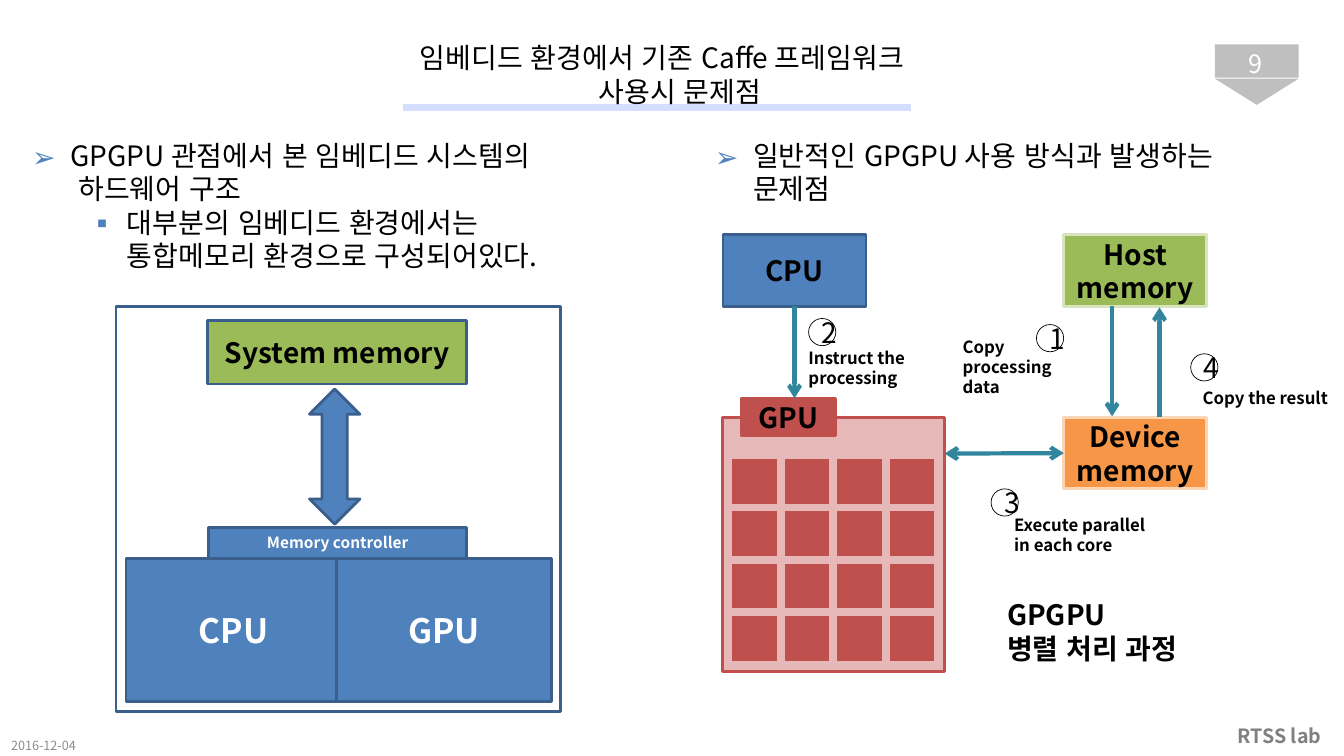
from itertools import product

from lxml import etree
from pptx import Presentation
from pptx.dml.color import RGBColor
from pptx.enum.lang import MSO_LANGUAGE_ID
from pptx.enum.shapes import MSO_CONNECTOR, MSO_SHAPE
from pptx.enum.text import MSO_ANCHOR, PP_ALIGN
from pptx.oxml.ns import qn
from pptx.util import Inches, Pt

FONT = "Noto Sans CJK KR"
BLACK = RGBColor(0x00, 0x00, 0x00)
WHITE = RGBColor(0xFF, 0xFF, 0xFF)
GRAY = RGBColor(0x80, 0x80, 0x80)
DATE_GRAY = RGBColor(0x8C, 0x8C, 0x8C)
BADGE_GRAY = RGBColor(0xBF, 0xBF, 0xBF)
RULE_BLUE = RGBColor(0xD4, 0xDE, 0xFF)
BLUE = RGBColor(0x4F, 0x81, 0xBD)
DARK_BLUE = RGBColor(0x3A, 0x5F, 0x8C)
GREEN = RGBColor(0x9B, 0xBB, 0x59)
PALE_GREEN = RGBColor(0xD7, 0xE4, 0xBD)
RED = RGBColor(0xC0, 0x50, 0x4D)
PALE_RED = RGBColor(0xE6, 0xB9, 0xB8)
ORANGE = RGBColor(0xF7, 0x96, 0x46)
PALE_ORANGE = RGBColor(0xFC, 0xD5, 0xB5)
TEAL = RGBColor(0x31, 0x85, 0x9C)


def write(paragraph, text, size=20, color=BLACK, bold=False, align=None,
          indent=0, hang=0, bullet=None):
    """Fill one paragraph; a vertical tab in the text is a line break."""
    paragraph.text = text
    paragraph.alignment = align
    for run in paragraph.runs:
        run.font.size = Pt(size)
        run.font.bold = bold
        run.font.color.rgb = color
        run.font.name = FONT
        run.font.language_id = MSO_LANGUAGE_ID.KOREAN
        latin = run.font._element.find(qn("a:latin"))
        east_asian = etree.Element(qn("a:ea"), typeface=FONT)
        latin.addnext(east_asian)
    properties = paragraph._p.get_or_add_pPr()
    if hang:
        properties.set("marL", str(Inches(indent)))
        properties.set("indent", str(-Inches(hang)))
    if bullet:
        bullet_color = etree.SubElement(properties, qn("a:buClr"))
        etree.SubElement(bullet_color, qn("a:srgbClr"), val=str(BLUE))
        etree.SubElement(properties, qn("a:buFont"), typeface=FONT)
        etree.SubElement(properties, qn("a:buChar"), char=bullet)


def add_label(slide, box, *lines, anchor=MSO_ANCHOR.TOP, inset=(0.1, 0.05), **style):
    """Add a text box with one paragraph per line."""
    frame = slide.shapes.add_textbox(*map(Inches, box)).text_frame
    frame.word_wrap = True
    frame.vertical_anchor = anchor
    frame.margin_left = frame.margin_right = Inches(inset[0])
    frame.margin_top = frame.margin_bottom = Inches(inset[1])
    for number, line in enumerate(lines):
        paragraph = frame.add_paragraph() if number else frame.paragraphs[0]
        write(paragraph, line, **style)
    return frame


def add_block(slide, box, *lines, kind=MSO_SHAPE.RECTANGLE, fill=None,
              line=None, width=2, **style):
    """Add a preset shape with centred text."""
    block = slide.shapes.add_shape(kind, *map(Inches, box))
    block.shadow.inherit = False
    if fill is None:
        block.fill.background()
    else:
        block.fill.solid()
        block.fill.fore_color.rgb = fill
    if line is None:
        block.line.fill.background()
    else:
        block.line.color.rgb = line
        block.line.width = Pt(width)
    frame = block.text_frame
    for number, text in enumerate(lines):
        paragraph = frame.add_paragraph() if number else frame.paragraphs[0]
        write(paragraph, text, align=PP_ALIGN.CENTER, **style)
    return block


def add_line(slide, start, end, color=TEAL, width=3, heads=()):
    """Add a straight line; heads names the ends that carry an arrowhead."""
    line = slide.shapes.add_connector(
        MSO_CONNECTOR.STRAIGHT, *map(Inches, start + end))
    line.line.color.rgb = color
    line.line.width = Pt(width)
    outline = line.line._get_or_add_ln()
    for head in heads:
        etree.SubElement(outline, qn(f"a:{head}"), type="arrow")
    etree.SubElement(line._element.spPr, qn("a:effectLst"))
    return line


def add_frame(slide):
    """Title, page badge and footer."""
    margins = {"anchor": MSO_ANCHOR.MIDDLE, "inset": (0.11, 0.06)}
    add_block(slide, (12.05, 0.44, 0.83, 0.33), fill=BADGE_GRAY)
    badge_tip = add_block(slide, (12.05, 0.78, 0.83, 0.26),
                          kind=MSO_SHAPE.ISOSCELES_TRIANGLE, fill=BADGE_GRAY)
    badge_tip.rotation = 180
    add_line(slide, (4, 1.07), (9.04, 1.07), color=RULE_BLUE, width=5)
    add_label(slide, (12.05, 0.48, 0.81, 0.3), "9", size=18, color=WHITE,
              align=PP_ALIGN.CENTER, **margins)
    add_label(slide, (2.05, 0.44, 9.03, 0.59),
              "임베디드 환경에서 기존 Caffe 프레임워크\v사용시 문제점",
              align=PP_ALIGN.CENTER, indent=0.36, hang=0.36, **margins)
    add_label(slide, (12.05, 7.1, 1.28, 0.4), "RTSS lab", size=14, color=GRAY,
              bold=True, align=PP_ALIGN.CENTER, **margins)
    add_label(slide, (0, 7.3, 1.05, 0.2), "2016-12-04", size=9,
              color=DATE_GRAY, **margins)


def add_headings(slide):
    """Bulleted text above both diagrams."""
    top_level = {"inset": (0.11, 0.06), "indent": 0.38, "hang": 0.38, "bullet": "➢"}
    hardware = add_label(slide, (0.21, 1.31, 5.83, 1.46),
                         "GPGPU 관점에서 본 임베디드 시스템의\v 하드웨어 구조", **top_level)
    detail = hardware.add_paragraph()
    detail.level = 1
    write(detail, "대부분의 임베디드 환경에서는 통합메모리 환경으로 구성되어있다.",
          indent=0.94, hang=0.38, bullet="▪")
    add_label(slide, (6.98, 1.31, 5.98, 0.79),
              "일반적인 GPGPU 사용 방식과 발생하는 문제점", **top_level)


def add_hardware_diagram(slide):
    """Shared system memory above CPU and GPU."""
    blue = {"fill": BLUE, "line": DARK_BLUE}
    add_block(slide, (1.15, 3.04, 4.41, 4.02), fill=WHITE, line=DARK_BLUE)
    add_block(slide, (2.06, 3.18, 2.57, 0.63), "System memory",
              fill=GREEN, line=DARK_BLUE, bold=True)
    add_block(slide, (3.07, 3.86, 0.5, 1.34), kind=MSO_SHAPE.UP_DOWN_ARROW, **blue)
    for left, processor in ((1.25, "CPU"), (3.34, "GPU")):
        add_block(slide, (left, 5.54, 2.13, 1.42), processor,
                  size=24, color=WHITE, bold=True, **blue)
    add_block(slide, (2.07, 5.23, 2.56, 0.31), "Memory controller",
              size=11, color=WHITE, bold=True, **blue)


def add_process_diagram(slide):
    """Four steps between CPU, GPU and the two memories."""
    cpu = add_block(slide, (7.17, 2.33, 1.42, 0.71), "CPU",
                    fill=BLUE, line=DARK_BLUE, bold=True)

    # GPU with its 4 x 4 cores
    add_block(slide, (7.17, 4.14, 2.2, 2.52), fill=PALE_RED, line=RED)
    core_pitch = 0.52
    for row, column in product(range(4), repeat=2):
        add_block(slide, (7.25 + column * core_pitch, 4.54 + row * core_pitch,
                          0.47, 0.47), fill=RED, line=PALE_RED)
    add_block(slide, (7.35, 3.95, 0.94, 0.37), "GPU", fill=RED, line=RED, bold=True)

    # Memories
    add_block(slide, (10.55, 2.33, 1.42, 0.71), "Host", "memory",
              fill=GREEN, line=PALE_GREEN, bold=True)
    device = add_block(slide, (10.55, 4.14, 1.42, 0.71), "Device", "memory",
                       fill=ORANGE, line=PALE_ORANGE, bold=True)

    # Arrows
    instruct = add_line(slide, (7.88, 3.04), (7.88, 3.95), heads=["tailEnd"])
    instruct.begin_connect(cpu, 2)
    add_line(slide, (11.03, 3.04), (11.03, 4.13), heads=["tailEnd"])
    add_line(slide, (11.5, 4.14), (11.5, 3.05), heads=["tailEnd"])
    execute = add_line(slide, (9.37, 4.5), (10.55, 4.5), heads=["headEnd", "tailEnd"])
    execute.end_connect(device, 1)

    # Step numbers and captions
    steps = [
        ("1", (10.28, 3.22), "Copy processing data", (9.45, 3.29, 1.1, 0.71)),
        ("2", (8.02, 3.16), "Instruct the processing", (7.92, 3.4, 1.61, 0.5)),
        ("3", (9.83, 4.85), "Execute parallel in each core", (9.96, 5.06, 1.61, 0.5)),
        ("4", (11.81, 3.51), "Copy the result", (11.83, 3.8, 1.5, 0.3)),
    ]
    for number, corner, caption, caption_box in steps:
        add_block(slide, corner + (0.27, 0.27), number, kind=MSO_SHAPE.OVAL,
                  line=BLACK, width=0.5)
        add_label(slide, caption_box, caption, size=12, bold=True)
    add_label(slide, (9.89, 5.88, 2.81, 0.77), "GPGPU", "병렬 처리 과정", bold=True)


def main():
    deck = Presentation()
    deck.slide_width, deck.slide_height = Inches(13.33), Inches(7.5)
    slide = deck.slides.add_slide(deck.slide_layouts[6])
    add_frame(slide)
    add_headings(slide)
    add_hardware_diagram(slide)
    add_process_diagram(slide)
    deck.save("out.pptx")


if __name__ == "__main__":
    main()
